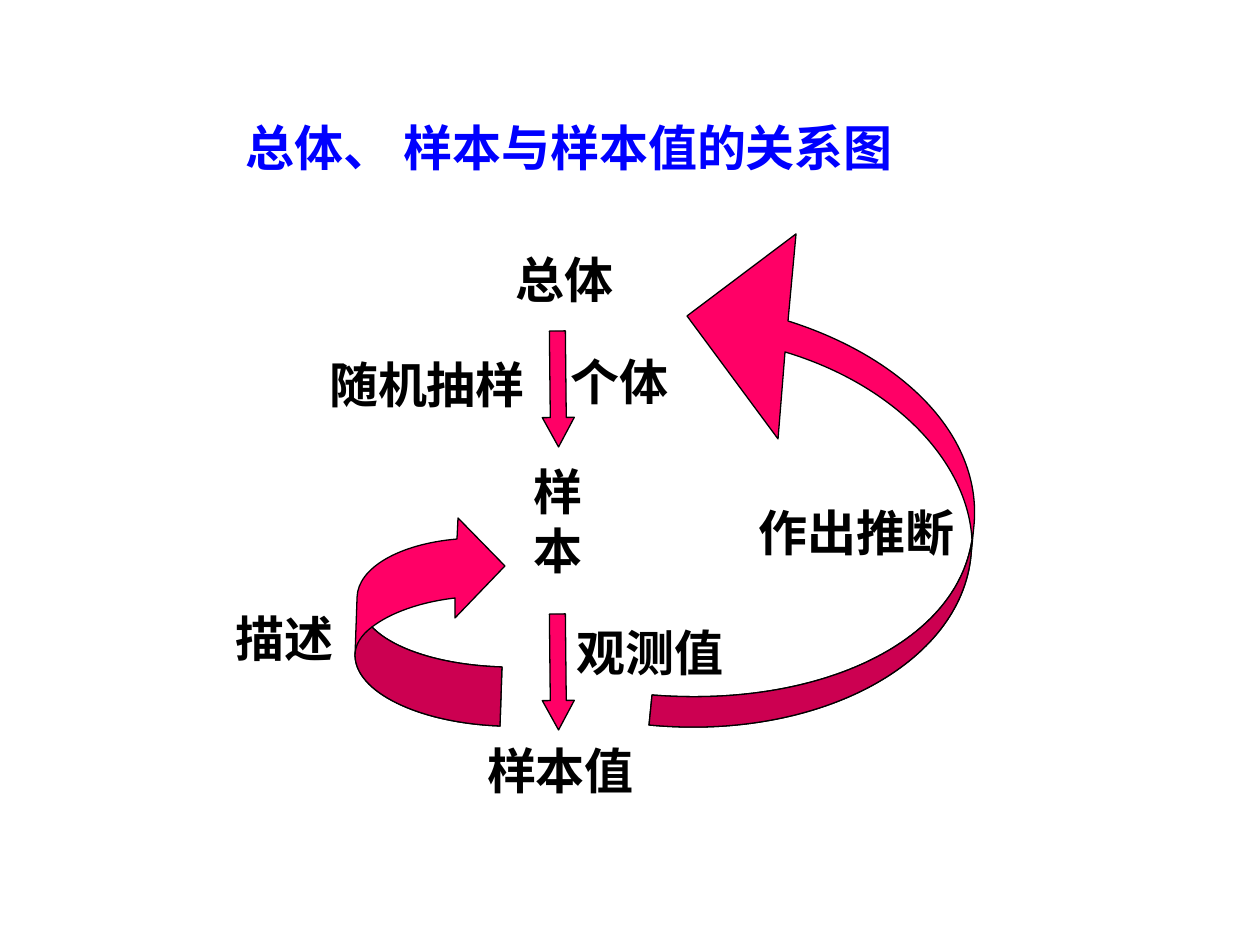
from math import cos, radians, sin
from typing import NamedTuple

from lxml.etree import SubElement
from pptx import Presentation
from pptx.dml.color import RGBColor
from pptx.enum.shapes import MSO_SHAPE
from pptx.enum.text import MSO_ANCHOR, MSO_AUTO_SIZE, PP_ALIGN
from pptx.oxml.ns import qn
from pptx.util import Pt

PX = 914400 / 126  # EMU in one px
FONT = "Times New Roman"
BLACK = RGBColor(0x00, 0x00, 0x00)
BLUE = RGBColor(0x00, 0x00, 0xFF)
PINK = RGBColor(0xFF, 0x00, 0x66)

Edges = list[tuple[int, ...]]


class Label(NamedTuple):
    text: str
    left: int
    top: int
    width: int
    height: int = 72
    align: PP_ALIGN = PP_ALIGN.CENTER


class Ribbon(NamedTuple):
    """Bent arrow. An edge of two numbers is a line, of six a curve."""
    frame: tuple[int, int, int, int]
    turn: float
    start: tuple[int, int]
    outer: Edges  # tail to fold, outside
    head: Edges   # fold, arrowhead and back to the fold
    fold: Edges   # short edge that ends the dark part
    inner: Edges  # fold to tail, inside


LABELS = [
    Label("总体", 475, 243, 179),
    Label("样本", 510, 455, 95, 131),
    Label("样本值", 461, 734, 199),
    Label("描述", 223, 602, 169, align=PP_ALIGN.LEFT),
    Label("作出推断", 716, 496, 281),
    Label("随机抽样", 284, 348, 286),
    Label("个体", 530, 345, 179),
    Label("观测值", 541, 616, 218),
]

ARROW_TOPS = [331, 614]

DESCRIBE = Ribbon(
    (357, 514, 147, 210), 1.9, (500, 726),
    outer=[(419, 723, 355, 692, 355, 655)],
    head=[(357, 597), (358, 568, 399, 544, 457, 539), (458, 518),
          (505, 566), (455, 618), (455, 598), (420, 602, 390, 613, 372, 627)],
    fold=[(361, 635, 355, 645, 355, 655)][:0] + [(355, 645, 361, 635, 372, 627)],
    inner=[(393, 649, 441, 665, 502, 667)])

INFER = Ribbon(
    (672, 226, 306, 514), 5.2, (649, 725),
    outer=[(818, 741, 961, 664, 971, 555)],
    head=[(974, 525), (982, 437, 905, 358, 788, 321), (796, 234),
          (687, 316), (778, 439), (785, 352), (895, 385, 968, 462, 972, 540)],
    fold=[(972, 540)],
    inner=[(956, 645, 815, 708, 652, 695)])


def emu(*px: float) -> list[int]:
    return [round(n * PX) for n in px]


def write(shape, text: str, *, align: PP_ALIGN, color: RGBColor = BLACK,
          size: int = 28, fit: MSO_AUTO_SIZE = MSO_AUTO_SIZE.NONE) -> None:
    frame = shape.text_frame
    frame.word_wrap = True
    frame.auto_size = fit
    frame.vertical_anchor = MSO_ANCHOR.MIDDLE
    para = frame.paragraphs[0]
    para.alignment = align
    run = para.add_run()
    run.text = text
    font = run.font
    font.name, font.size, font.bold = FONT, Pt(size), True
    font.color.rgb = color


def paint(shape, fill: RGBColor) -> None:
    shape.shadow.inherit = False
    shape.fill.solid()
    shape.fill.fore_color.rgb = fill
    shape.line.color.rgb = BLACK
    shape.line.width = Pt(0.75)


def local(ribbon: Ribbon, x: int, y: int) -> list[int]:
    """Slide point as a point in the frame before it turns."""
    left, top, width, height = ribbon.frame
    dx, dy = x - left - width / 2, y - top - height / 2
    c, s = cos(radians(ribbon.turn)), sin(radians(ribbon.turn))
    return emu(dx * c + dy * s + width / 2, dy * c - dx * s + height / 2)


def add_path(paths, ribbon: Ribbon, edges: Edges, shade: str) -> None:
    width, height = emu(*ribbon.frame[2:])
    path = SubElement(paths, qn("a:path"), w=str(width), h=str(height),
                      fill=shade)
    steps = [("a:moveTo", ribbon.start)]
    steps += [("a:lnTo" if len(edge) == 2 else "a:cubicBezTo", edge)
              for edge in edges]
    for tag, edge in steps:
        step = SubElement(path, qn(tag))
        for px, py in zip(edge[::2], edge[1::2]):
            x, y = local(ribbon, px, py)
            SubElement(step, qn("a:pt"), x=str(x), y=str(y))
    SubElement(path, qn("a:close"))


def draw_ribbon(shapes, ribbon: Ribbon) -> None:
    left, top, width, height = emu(*ribbon.frame)
    build = shapes.build_freeform(left, top)
    build.add_line_segments([(left + width, top + height)])
    shape = build.convert_to_shape()
    # Curves need their own path XML
    paths = next(shape.element.iter(qn("a:pathLst")))
    for old in list(paths):
        paths.remove(old)
    add_path(paths, ribbon, ribbon.outer + ribbon.head + ribbon.inner, "norm")
    add_path(paths, ribbon, ribbon.outer + ribbon.fold + ribbon.inner,
             "darkenLess")
    shape.rotation = ribbon.turn
    paint(shape, PINK)


def draw_arrow(shapes, top: int) -> None:
    arrow = shapes.add_shape(MSO_SHAPE.DOWN_ARROW, *emu(542, top, 32, 116))
    arrow.adjustments[0] = 0.5
    arrow.adjustments[1] = 0.92
    arrow.rotation = -0.6
    paint(arrow, PINK)


def draw_label(shapes, label: Label) -> None:
    box = shapes.add_textbox(
        *emu(label.left, label.top, label.width, label.height))
    write(box, label.text, align=label.align,
          fit=MSO_AUTO_SIZE.SHAPE_TO_FIT_TEXT)


def main() -> None:
    deck = Presentation()
    deck.slide_width, deck.slide_height = emu(1260, 945)
    slide = deck.slides.add_slide(deck.slide_layouts[5])
    shapes = slide.shapes

    # Title
    title = shapes.title
    title.left, title.top, title.width, title.height = emu(233, 105, 694, 84)
    write(title, "总体、 样本与样本值的关系图", align=PP_ALIGN.LEFT, color=BLUE)

    # Arrows
    for ribbon in (DESCRIBE, INFER):
        draw_ribbon(shapes, ribbon)
    for top in ARROW_TOPS:
        draw_arrow(shapes, top)

    # Labels
    for label in LABELS:
        draw_label(shapes, label)

    deck.save("out.pptx")


if __name__ == "__main__":
    main()
